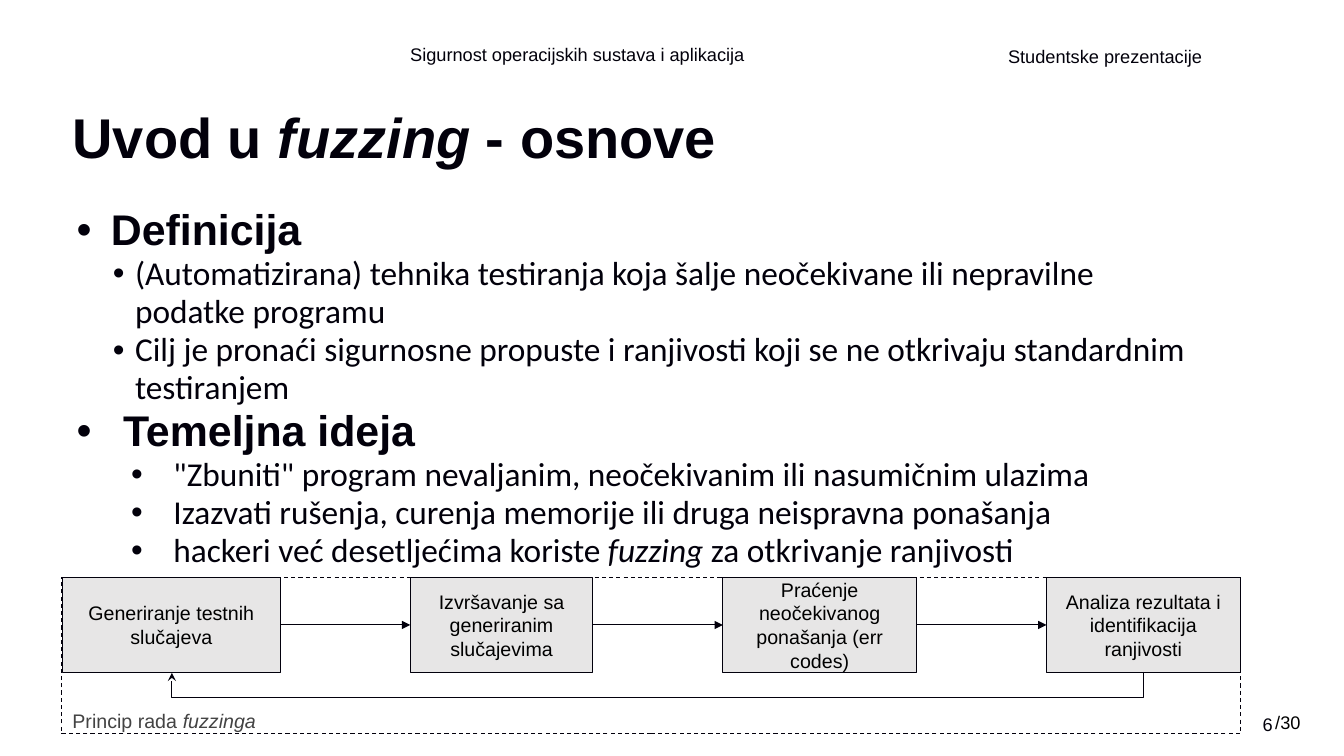
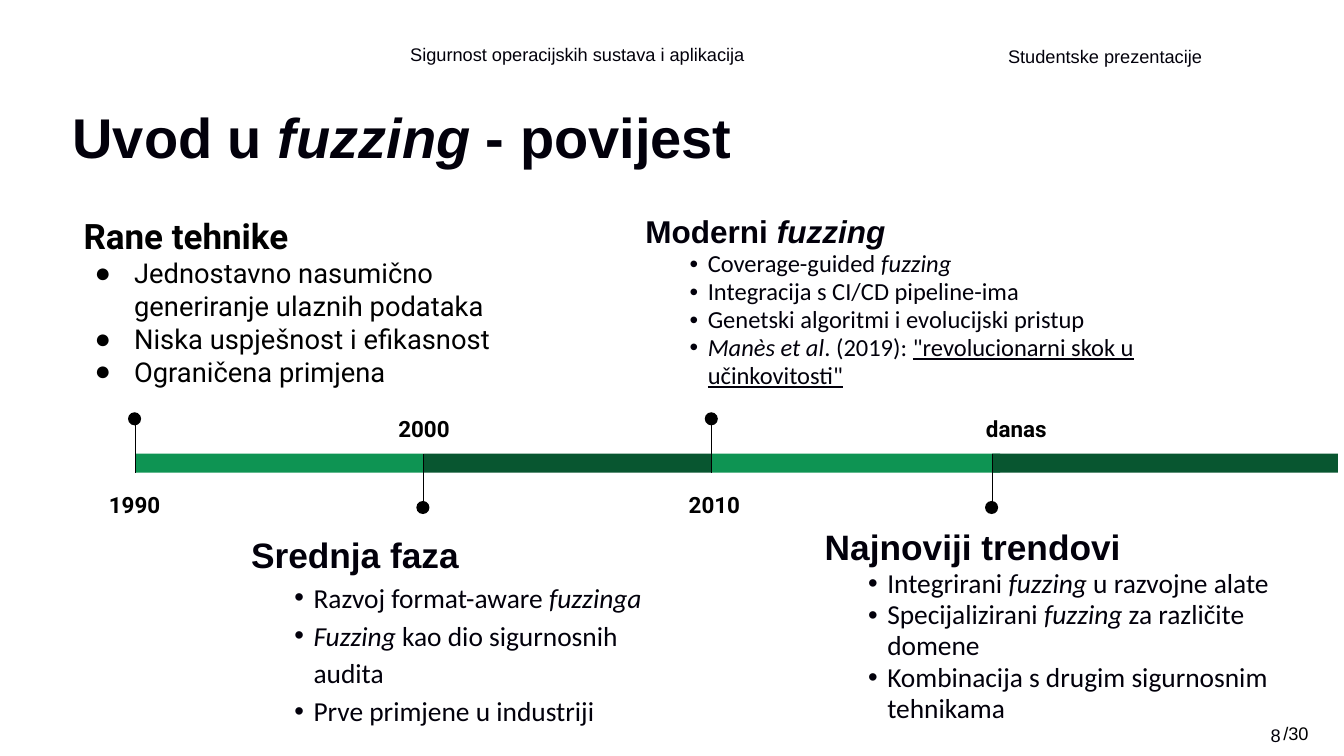
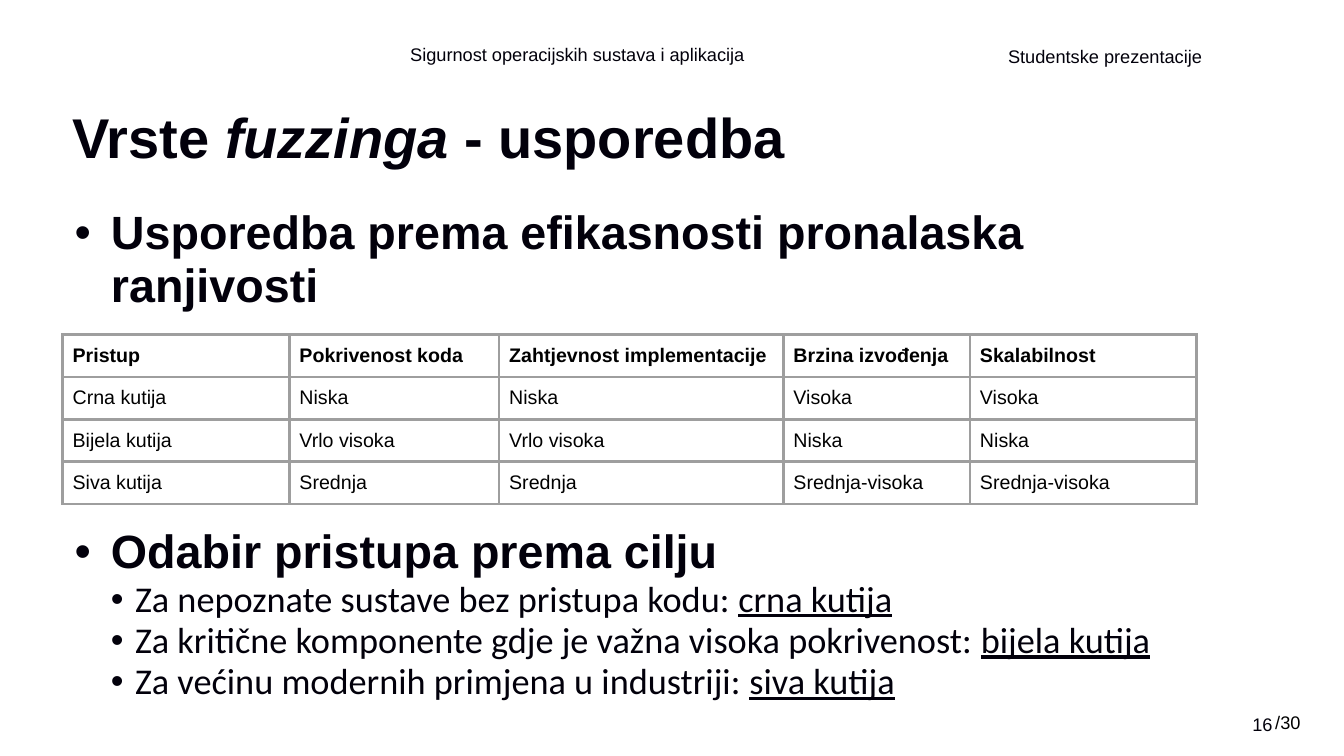
import dataclasses

import lxml.etree
import pptx
import pptx.dml.color
import pptx.enum.dml
import pptx.enum.shapes
import pptx.enum.text
import pptx.oxml.ns
import pptx.util

PX = 9144  # 100 px to the inch
COLOURS = {"ink": "02000B", "black": "000000", "outline": "02000C", "box": "E7E6E6",
           "caption": "434343", "grid": "9E9E9E", "light": "0E9453", "dark": "085630"}
RGB = {name: pptx.dml.color.RGBColor.from_string(value) for name, value in COLOURS.items()}
ALIGN = pptx.enum.text.PP_ALIGN
ANCHOR = pptx.enum.text.MSO_ANCHOR
SHAPE = pptx.enum.shapes.MSO_SHAPE
CONNECTOR = pptx.enum.shapes.MSO_CONNECTOR
Pt = pptx.util.Pt
qn = pptx.oxml.ns.qn


@dataclasses.dataclass(frozen=True)
class Style:
    size: float
    font: str = "Arial"
    colour: str = "ink"
    bold: bool = False
    align: ALIGN = ALIGN.LEFT
    spacing: float = 1.0
    before: int = 0
    bullet: str = ""
    left: int = 0
    hanging: int = 0
    level: int = 0


def write(shape, box, lines, inset=(10, 10), anchor=ANCHOR.TOP):
    """Place a shape and fill it with (text, style) lines; *x* is italic, _x_ underlined."""
    shape.left, shape.top, shape.width, shape.height = (value * PX for value in box)
    frame = shape.text_frame
    frame.word_wrap = True
    frame.auto_size = pptx.enum.text.MSO_AUTO_SIZE.NONE
    frame.vertical_anchor = anchor
    frame.margin_left = frame.margin_right = inset[0] * PX
    frame.margin_top = frame.margin_bottom = inset[1] * PX
    for number, (text, style) in enumerate(lines):
        paragraph = frame.add_paragraph() if number else frame.paragraphs[0]
        paragraph.level = style.level
        paragraph.alignment = style.align
        paragraph.line_spacing = style.spacing
        paragraph.space_before = Pt(style.before)
        properties = paragraph._p.get_or_add_pPr()
        properties.set("marL", str(style.left * PX))
        properties.set("indent", str(-style.hanging * PX))
        if style.bullet:
            colour = lxml.etree.SubElement(properties, qn("a:buClr"))
            lxml.etree.SubElement(colour, qn("a:srgbClr"), val=COLOURS[style.colour])
            lxml.etree.SubElement(properties, qn("a:buFont"), typeface="Arial")
            lxml.etree.SubElement(properties, qn("a:buChar"), char=style.bullet)
        else:
            lxml.etree.SubElement(properties, qn("a:buNone"))
        paragraph.font.name = style.font
        paragraph.font.size = Pt(style.size)
        paragraph.font.bold = style.bold
        paragraph.font.color.rgb = RGB[style.colour]
        for underlined, chunk in enumerate(text.split("_")):
            for italic, part in enumerate(chunk.split("*")):
                if part:
                    run = paragraph.add_run()
                    run.text = part
                    if italic % 2:
                        run.font.italic = True
                    if underlined % 2:
                        run.font.underline = True


def add_line(slide, kind, ends, colour, arrow=None):
    line = slide.shapes.add_connector(kind, *(value * PX for value in ends))
    line.line.color.rgb = RGB[colour]
    line.line.width = Pt(0.75)
    if arrow:
        lxml.etree.SubElement(line.line._get_or_add_ln(), qn("a:tailEnd"), type=arrow)
    lxml.etree.SubElement(line.element.spPr, qn("a:effectLst"))
    return line


presentation = pptx.Presentation()
presentation.slide_width, presentation.slide_height = 1333 * PX, 750 * PX
master = presentation.slide_master
content_layout, title_layout = presentation.slide_layouts[1], presentation.slide_layouts[5]

# Titles, page numbers and the header line
title_style = Style(40, bold=True)
small = Style(13)
pages = [
    (content_layout, "Uvod u *fuzzing* - osnove", "6", 0, 0),
    (title_layout, "Uvod u *fuzzing* - povijest", "8", 8, 11),
    (content_layout, "Vrste *fuzzinga* - usporedba", "16", 0, 0),
]
for layout, title, number, right, down in pages:
    slide = presentation.slides.add_slide(layout)
    write(slide.shapes.title, (62, 95, 1137, 78), [(title, title_style)], (10, 5), ANCHOR.BOTTOM)
    write(slide.shapes.add_textbox(0, 0, 0, 0), (1227 + right, 703 + down, 45, 36),
          [(number, dataclasses.replace(small, align=ALIGN.RIGHT))], anchor=ANCHOR.BOTTOM)
    write(slide.shapes.add_textbox(0, 0, 0, 0), (1255 + right, 696 + down, 57, 36),
          [("/30", dataclasses.replace(small, colour="black"))])
basics, history, comparison = presentation.slides

for text, box, spacing in [
    ("Sigurnost operacijskih sustava i aplikacija", (397, 33, 415, 45), 0.8),
    ("Studentske prezentacije", (990, 33, 295, 45), 1.0),
]:
    header = basics.shapes.add_textbox(0, 0, 0, 0)
    write(header, box, [(text, dataclasses.replace(small, spacing=spacing))],
          (10, 5), ANCHOR.MIDDLE)
    master.shapes.element.append(header.element)

# Basics: definition, idea and the fuzzing loop
heading = Style(30.6, bold=True, spacing=0.95, bullet="•", left=38, hanging=34)
point = Style(23.8, "Calibri", spacing=0.95, bullet="•", left=62, hanging=22, level=1)
wide_heading = dataclasses.replace(heading, left=50, hanging=46)
wide_point = dataclasses.replace(point, left=100, hanging=42)
write(basics.placeholders[1], (62, 200, 1137, 373), [
    ("Definicija", heading),
    ("(Automatizirana) tehnika testiranja koja šalje neočekivane ili nepravilne podatke programu",
     point),
    ("Cilj je pronaći sigurnosne propuste i ranjivosti koji se ne otkrivaju standardnim testiranjem",
     point),
    ("Temeljna ideja", wide_heading),
    ('"Zbuniti" program nevaljanim, neočekivanim ili nasumičnim ulazima', wide_point),
    ("Izazvati rušenja, curenja memorije ili druga neispravna ponašanja", wide_point),
    ("hackeri već desetljećima koriste *fuzzing* za otkrivanje ranjivosti", wide_point),
], (10, 5))

step_style = Style(14, colour="black", align=ALIGN.CENTER)
step_top, step_height, step_gap = 573, 94, 129
step_left = 62
steps = []
for text, width in [
    ("Generiranje testnih slučajeva", 216),
    ("Izvršavanje sa generiranim slučajevima", 181),
    ("Praćenje neočekivanog ponašanja (err codes)", 192),
    ("Analiza rezultata i identifikacija ranjivosti", 192),
]:
    step = basics.shapes.add_shape(SHAPE.RECTANGLE, 0, 0, 0, 0)
    step.shadow.inherit = False
    step.fill.solid()
    step.fill.fore_color.rgb = RGB["box"]
    step.line.color.rgb = RGB["outline"]
    step.line.width = Pt(0.75)
    write(step, (step_left, step_top, width, step_height), [(text, step_style)],
          anchor=ANCHOR.MIDDLE)
    steps.append(step)
    step_left += width + step_gap

for before, after in zip(steps, steps[1:]):
    arrow = add_line(basics, CONNECTOR.STRAIGHT, (0, 0, 0, 0), "outline", "triangle")
    arrow.begin_connect(before, 3)
    arrow.end_connect(after, 1)

# The return arrow is an elbow turned by 90 degrees; its bend lies 26 px below the steps
first_x, last_x = ((step.left + step.width // 2) // PX for step in (steps[0], steps[-1]))
middle_x, middle_y = (first_x + last_x) // 2, step_top + step_height
half = (last_x - first_x) // 2
back = add_line(basics, CONNECTOR.ELBOW,
                (middle_x, middle_y - half, middle_x + 1, middle_y + half), "outline", "stealth")
back.element.spPr.find(qn("a:xfrm")).set("rot", str(90 * 60000))
adjustments = back.element.spPr.find(qn("a:prstGeom")).find(qn("a:avLst"))
lxml.etree.SubElement(adjustments, qn("a:gd"), name="adj1", fmla=f"val {26 * 100000}")

write(basics.shapes.add_textbox(0, 0, 0, 0), (62, 693, 296, 24),
      [("Princip rada *fuzzinga*", Style(14, colour="caption"))])
frame = basics.shapes.add_shape(SHAPE.RECTANGLE, 61 * PX, 573 * PX, 1169 * PX, 155 * PX)
frame.shadow.inherit = False
frame.fill.background()
frame.line.color.rgb = RGB["outline"]
frame.line.width = Pt(0.75)
frame.line.dash_style = pptx.enum.dml.MSO_LINE.DASH

# History: four periods, with stems going up and down in turn
year_style = Style(16, "Roboto", "black", True, ALIGN.CENTER, 1.15)
early_heading = Style(25, "Roboto", "black", True)
early_point = Style(19.5, "Roboto", "black", bullet="●", left=50, hanging=39)
late_heading = Style(25.2, bold=True, spacing=0.95)
late_point = Style(19.6, "Calibri", spacing=0.95, bullet="•", left=62, hanging=19, level=1)
middle_heading = dataclasses.replace(late_heading, spacing=1.15)
middle_point = dataclasses.replace(late_point, spacing=1.15)
modern_heading = dataclasses.replace(late_heading, size=22.5)
modern_point = dataclasses.replace(late_point, size=17.5, hanging=18)
periods = [
    (134, 286, "1990", 70, 127, (70, 200, 444, 210), early_heading, early_point,
     ["Rane tehnike", "Jednostavno nasumično generiranje ulaznih podataka",
      "Niska uspješnost i efikasnost", "Ograničena primjena"]),
    (420, 286, "2000", 366, 109, (236, 510, 421, 231), middle_heading, middle_point,
     ["Srednja faza", "Razvoj format-aware *fuzzinga*",
      "*Fuzzing* kao dio sigurnosnih audita", "Prve primjene u industriji"]),
    (706, 286, "2010", 658, 101, (627, 200, 545, 210), modern_heading, modern_point,
     ["Moderni *fuzzing*", "Coverage-guided *fuzzing*", "Integracija s CI/CD pipeline-ima",
      "Genetski algoritmi i evolucijski pristup",
      '*Manès et al*. (2019): _"revolucionarni skok u učinkovitosti"_']),
    (984, 343, "danas", 930, 156, (805, 511, 488, 231), late_heading, late_point,
     ["Najnoviji trendovi", "Integrirani *fuzzing* u razvojne alate",
      "Specijalizirani *fuzzing* za različite domene",
      "Kombinacija s drugim sigurnosnim tehnikama"]),
]
for index, (start, length, year, year_left, year_width, box, head, item, texts) in enumerate(periods):
    if index % 2:
        colour, stem, dot_top, year_top = "dark", (502, 450), 497, 395
    else:
        colour, stem, dot_top, year_top = "light", (417, 469), 409, 470
    for kind, place, fill in [
        (SHAPE.RECTANGLE, (start, 450, length, 19), colour),
        (SHAPE.OVAL, (start - 7, dot_top, 13, 13), "black"),
    ]:
        mark = history.shapes.add_shape(kind, *(value * PX for value in place))
        mark.shadow.inherit = False
        mark.fill.solid()
        mark.fill.fore_color.rgb = RGB[fill]
        mark.line.fill.background()
    add_line(history, CONNECTOR.STRAIGHT, (start, stem[0], start, stem[1]), "black")
    write(history.shapes.add_textbox(0, 0, 0, 0), (year_left, year_top, year_width, 54),
          [(year, year_style)], (13, 13))
    write(history.shapes.add_textbox(0, 0, 0, 0), box,
          [(texts[0], head)] + [(text, item) for text in texts[1:]], (13, 13))

# Comparison: the space before the second heading leaves room for the table
large_heading = dataclasses.replace(heading, size=33.3, hanging=36)
large_point = dataclasses.replace(point, size=25.9, hanging=24)
write(comparison.placeholders[1], (62, 200, 1137, 529), [
    ("Usporedba prema efikasnosti pronalaska ranjivosti", large_heading),
    ("Odabir pristupa prema cilju", dataclasses.replace(large_heading, before=152)),
    ("Za nepoznate sustave bez pristupa kodu: _crna kutija_", large_point),
    ("Za kritične komponente gdje je važna visoka pokrivenost: _bijela kutija_", large_point),
    ("Za većinu modernih primjena u industriji: _siva kutija_", large_point),
], (10, 5))

rows = [
    ["Pristup", "Pokrivenost koda", "Zahtjevnost implementacije", "Brzina izvođenja", "Skalabilnost"],
    ["Crna kutija", "Niska", "Niska", "Visoka", "Visoka"],
    ["Bijela kutija", "Vrlo visoka", "Vrlo visoka", "Niska", "Niska"],
    ["Siva kutija", "Srednja", "Srednja", "Srednja-visoka", "Srednja-visoka"],
]
widths = [225, 208, 282, 185, 225]
table = comparison.shapes.add_table(len(rows), len(widths), 62 * PX, 332 * PX,
                                    sum(widths) * PX, 42 * len(rows) * PX).table
table.first_row = table.horz_banding = False
for column, width in zip(table.columns, widths):
    column.width = width * PX
for row_index, texts in enumerate(rows):
    for column_index, text in enumerate(texts):
        cell = table.cell(row_index, column_index)
        cell.text = text
        cell.margin_left = cell.margin_right = cell.margin_top = cell.margin_bottom = 10 * PX
        font = cell.text_frame.paragraphs[0].font
        font.name, font.size, font.bold = "Arial", Pt(14), row_index == 0
        font.color.rgb = RGB["black"]
        properties = cell._tc.get_or_add_tcPr()
        for side in ("a:lnL", "a:lnR", "a:lnT", "a:lnB"):
            border = lxml.etree.SubElement(properties, qn(side), w=str(Pt(2.25)))
            fill = lxml.etree.SubElement(border, qn("a:solidFill"))
            lxml.etree.SubElement(fill, qn("a:srgbClr"), val=COLOURS["grid"])
        cell.fill.background()

presentation.save("out.pptx")
